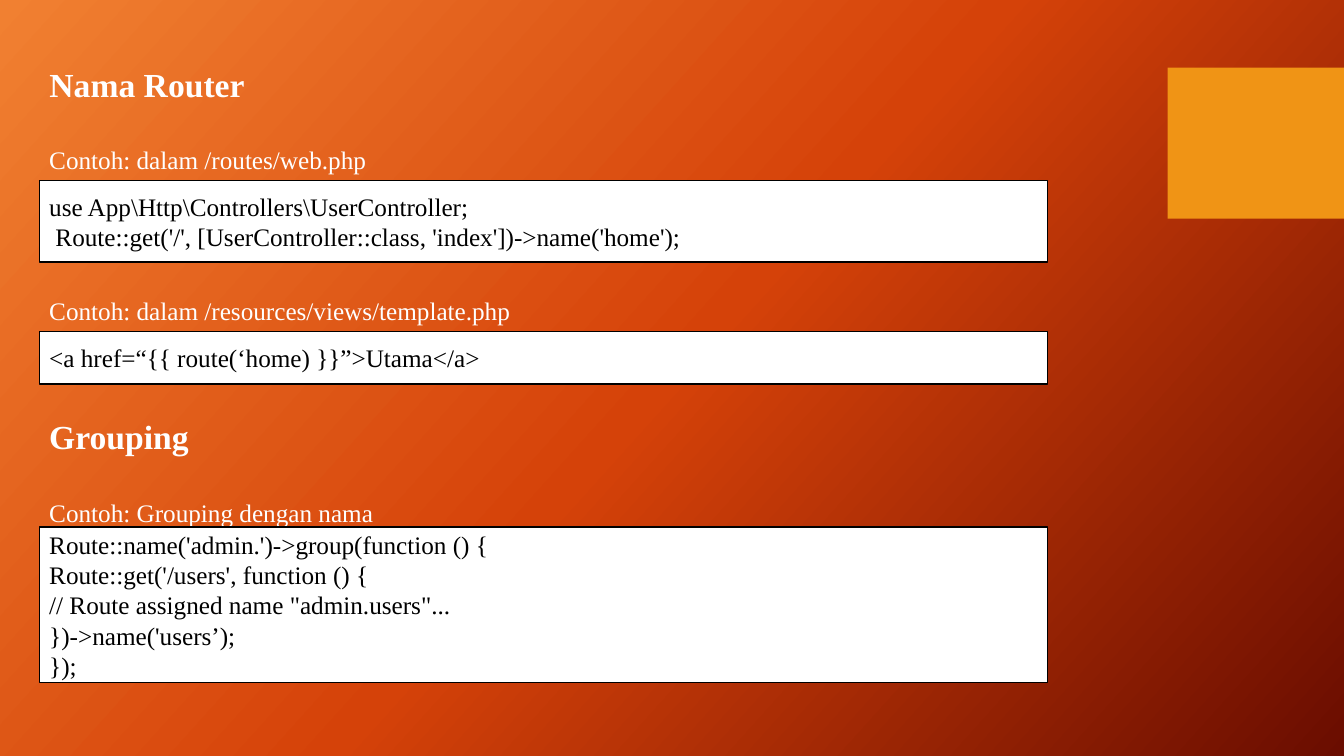
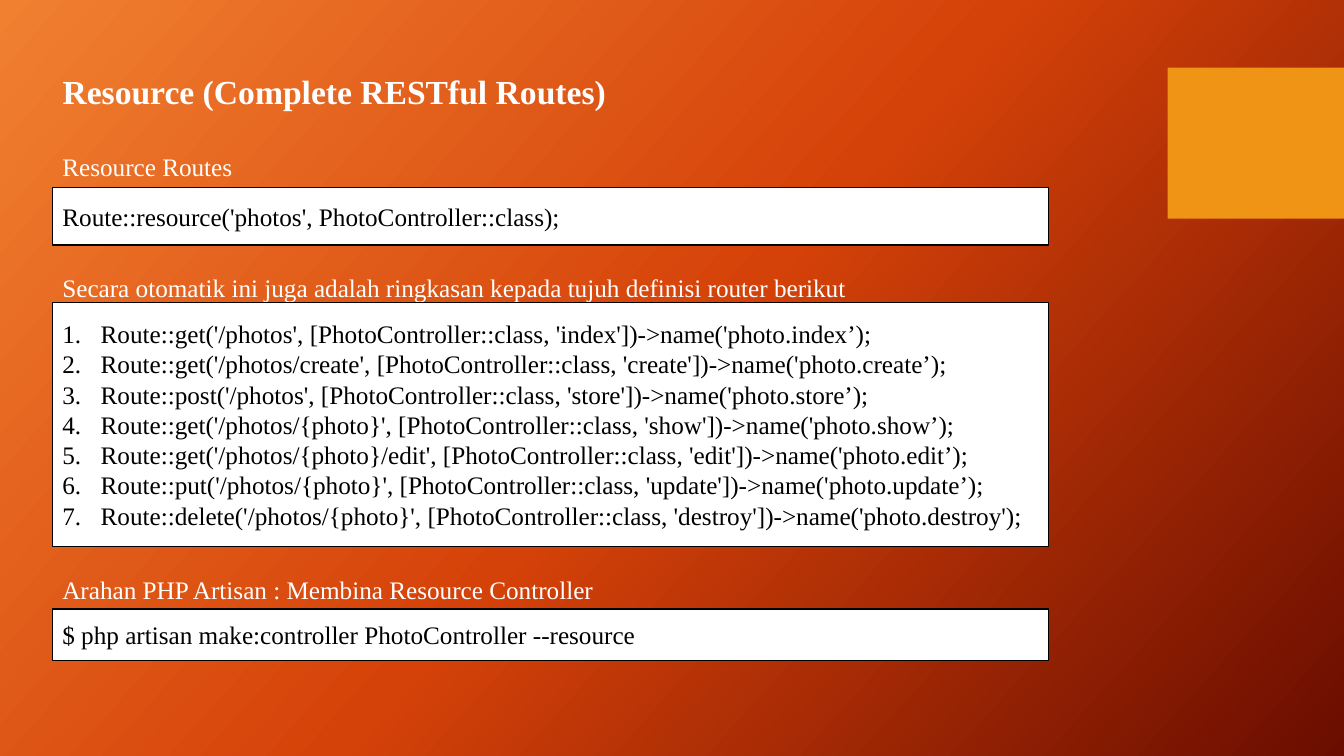
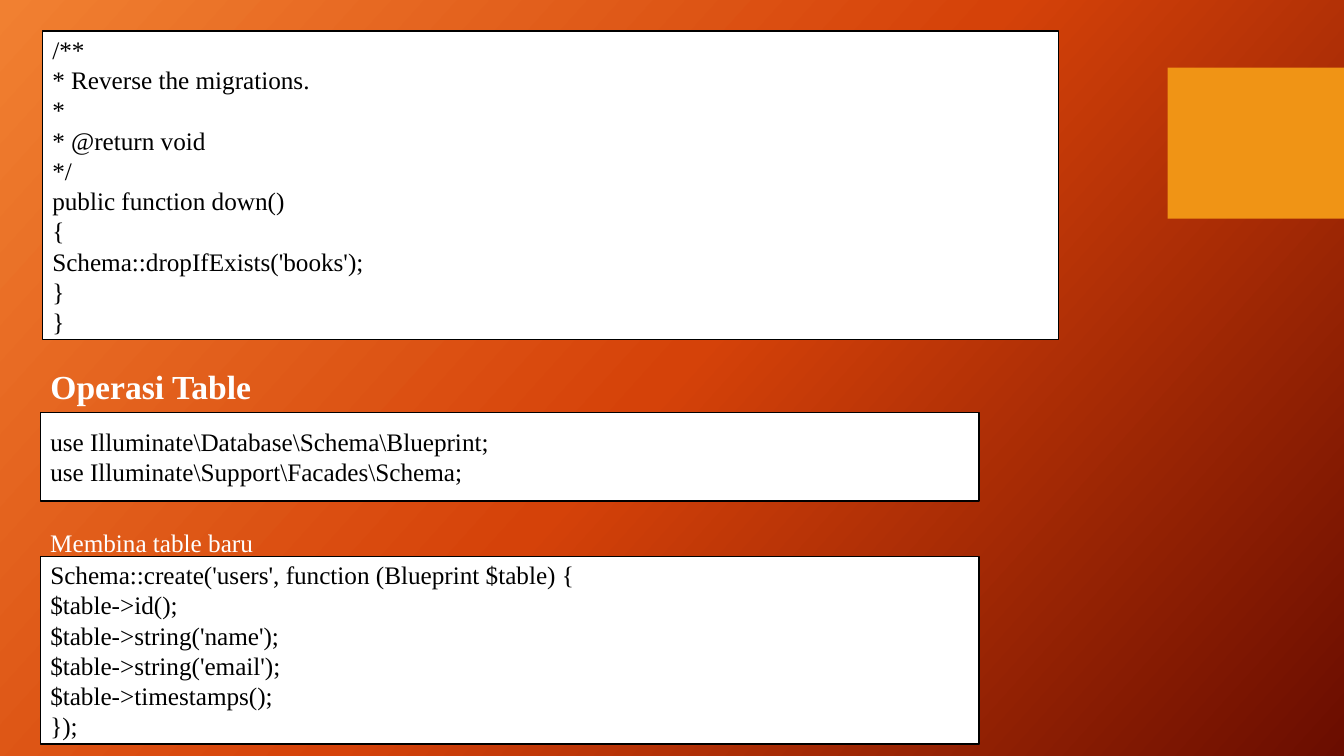
"""Build three slides on routes, resource controllers and table migrations."""
from copy import deepcopy
from dataclasses import dataclass

from lxml.etree import SubElement
from pptx import Presentation
from pptx.dml.color import RGBColor
from pptx.enum.shapes import MSO_SHAPE
from pptx.enum.text import MSO_ANCHOR, MSO_AUTO_SIZE, PP_ALIGN
from pptx.oxml.ns import qn
from pptx.presentation import Presentation as Deck
from pptx.shapes.base import BaseShape
from pptx.slide import Slide, SlideLayout
from pptx.util import Inches, Pt

COLORS = {
    "glow": "F18031",
    "ember": "D54209",
    "dusk": "6A0D00",
    "tab": "F09415",
    "paper": "FFFFFF",
    "ink": "000000",
}
FONT = "Times New Roman"
HEADING_SIZE, BODY_SIZE = 24, 18
HEADING_HEIGHT, LABEL_HEIGHT = 0.5, 0.4
NUMBER_INDENT = Inches(0.38)


@dataclass(frozen=True)
class Caption:
    text: str
    top: float
    heading: bool = False


@dataclass(frozen=True)
class CodePanel:
    top: float
    height: float
    code: str
    left: float
    width: float
    numbered: bool = False


@dataclass(frozen=True)
class Lesson:
    title: Caption
    left: float
    captions: list[Caption]
    panels: list[CodePanel]


RESOURCE_ROUTES = [
    ("get", "", "index"),
    ("get", "/create", "create"),
    ("post", "", "store"),
    ("get", "/{photo}", "show"),
    ("get", "/{photo}/edit", "edit"),
    ("put", "/{photo}", "update"),
]
ROUTE_LIST = "\n".join(
    [
        f"Route::{verb}('/photos{tail}', [PhotoController::class, '{action}'])->name('photo.{action}’);"
        for verb, tail, action in RESOURCE_ROUTES
    ]
    + ["Route::delete('/photos/{photo}', [PhotoController::class, 'destroy'])->name('photo.destroy');"]
)

GROUP_CODE = """Route::name('admin.')->group(function () {
Route::get('/users', function () {
// Route assigned name "admin.users"...
})->name('users’);
});"""

ROLLBACK_CODE = """/**
* Reverse the migrations.
*
* @return void
*/
public function down()
{
Schema::dropIfExists('books');
}
}"""

CREATE_CODE = """Schema::create('users', function (Blueprint $table) {
$table->id();
$table->string('name');
$table->string('email');
$table->timestamps();
});"""

LESSONS = [
    Lesson(
        Caption("Nama Router", 0.58, heading=True),
        0.39,
        [
            Caption("Contoh: dalam /routes/web.php", 1.38),
            Caption("Contoh: dalam /resources/views/template.php", 2.88),
            Caption("Grouping", 4.08, heading=True),
            Caption("Contoh: Grouping dengan nama", 4.88),
        ],
        [
            CodePanel(
                1.79, 0.81,
                "use App\\Http\\Controllers\\UserController;\n"
                " Route::get('/', [UserController::class, 'index'])->name('home');",
                0.39, 10,
            ),
            CodePanel(3.29, 0.52, "<a href=“{{ route(‘home) }}”>Utama</a>", 0.39, 10),
            CodePanel(5.23, 1.54, GROUP_CODE, 0.39, 10),
        ],
    ),
    Lesson(
        Caption("Resource (Complete RESTful Routes)", 0.65, heading=True),
        0.52,
        [
            Caption("Resource Routes", 1.45),
            Caption("Secara otomatik ini juga adalah ringkasan kepada tujuh definisi router berikut", 2.65),
            Caption("Arahan PHP Artisan : Membina Resource Controller", 5.65),
        ],
        [
            CodePanel(1.86, 0.57, "Route::resource('photos', PhotoController::class);", 0.52, 9.88),
            CodePanel(3, 2.42, ROUTE_LIST, 0.52, 9.88, numbered=True),
            CodePanel(6.04, 0.51, "$ php artisan make:controller PhotoController --resource", 0.52, 9.88),
        ],
    ),
    Lesson(
        Caption("Operasi Table", 3.58, heading=True),
        0.4,
        [Caption("Membina table baru", 5.18)],
        [
            CodePanel(0.31, 3.06, ROLLBACK_CODE, 0.42, 10.08),
            CodePanel(
                4.09, 0.88,
                "use Illuminate\\Database\\Schema\\Blueprint;\nuse Illuminate\\Support\\Facades\\Schema;",
                0.4, 9.31,
            ),
            CodePanel(5.52, 1.86, CREATE_CODE, 0.4, 9.31),
        ],
    ),
]


def rgb(name: str) -> RGBColor:
    return RGBColor.from_string(COLORS[name])


def write(shape: BaseShape, text: str, size: int, color: str, bold: bool = False) -> None:
    frame = shape.text_frame
    frame.text = text
    frame.word_wrap = True
    frame.auto_size = MSO_AUTO_SIZE.NONE
    for paragraph in frame.paragraphs:
        paragraph.alignment = PP_ALIGN.LEFT
        for run in paragraph.runs:
            run.font.name = FONT
            run.font.size = Pt(size)
            run.font.bold = bold
            run.font.color.rgb = rgb(color)


def add_block(slide: Slide, left: float, top: float, width: float, height: float, fill: str) -> BaseShape:
    block = slide.shapes.add_shape(
        MSO_SHAPE.RECTANGLE, Inches(left), Inches(top), Inches(width), Inches(height)
    )
    block.shadow.inherit = False
    block.fill.solid()
    block.fill.fore_color.rgb = rgb(fill)
    block.line.fill.background()
    return block


def style_background(deck: Deck) -> None:
    master = deck.slide_master
    fill = master.background.fill
    fill.gradient()
    fill.gradient_angle = 318
    stop_list = master.element.xpath(".//p:bg//a:gsLst")[0]
    stop_list.append(deepcopy(stop_list[-1]))
    for stop, color, position in zip(fill.gradient_stops, ("glow", "ember", "dusk"), (0, 0.5, 1)):
        stop.color.rgb = rgb(color)
        stop.position = position


def add_layout_tab(slide: Slide, layout: SlideLayout) -> None:
    for placeholder in list(layout.placeholders):
        if placeholder.placeholder_format.idx != 0:
            placeholder.element.getparent().remove(placeholder.element)
    tab = add_block(slide, 11.58, 0.67, 1.75, 1.5, "tab")
    layout.element.cSld.spTree.append(tab.element)


def place_caption(shape: BaseShape, caption: Caption, left: float) -> None:
    shape.left, shape.top = Inches(left), Inches(caption.top)
    shape.width = Inches(10.5)
    shape.height = Inches(HEADING_HEIGHT if caption.heading else LABEL_HEIGHT)
    write(shape, caption.text, HEADING_SIZE if caption.heading else BODY_SIZE, "paper", caption.heading)
    shape.text_frame.vertical_anchor = MSO_ANCHOR.TOP


def add_panel(slide: Slide, panel: CodePanel) -> None:
    block = add_block(slide, panel.left, panel.top, panel.width, panel.height, "paper")
    block.line.color.rgb = rgb("ink")
    block.line.width = Pt(1)
    write(block, panel.code, BODY_SIZE, "ink")
    block.text_frame.vertical_anchor = MSO_ANCHOR.MIDDLE
    if panel.numbered:
        for paragraph in block.text_frame.paragraphs:
            properties = paragraph._p.get_or_add_pPr()
            properties.set("marL", str(NUMBER_INDENT))
            properties.set("indent", str(-NUMBER_INDENT))
            SubElement(properties, qn("a:buFont"), typeface="+mj-lt")
            SubElement(properties, qn("a:buAutoNum"), type="arabicPeriod")


def build_lesson(slide: Slide, lesson: Lesson) -> None:
    place_caption(slide.shapes.title, lesson.title, lesson.left)
    for caption in lesson.captions:
        label = slide.shapes.add_textbox(0, 0, 0, 0)
        place_caption(label, caption, lesson.left)
    for panel in lesson.panels:
        add_panel(slide, panel)


def main() -> None:
    deck = Presentation()
    deck.slide_width, deck.slide_height = Inches(13.33), Inches(7.5)
    style_background(deck)
    layout = deck.slide_layouts.get_by_name("Title Only")
    slides = [deck.slides.add_slide(layout) for _ in LESSONS]
    add_layout_tab(slides[0], layout)
    for slide, lesson in zip(slides, LESSONS):
        build_lesson(slide, lesson)
    deck.save("out.pptx")


if __name__ == "__main__":
    main()
